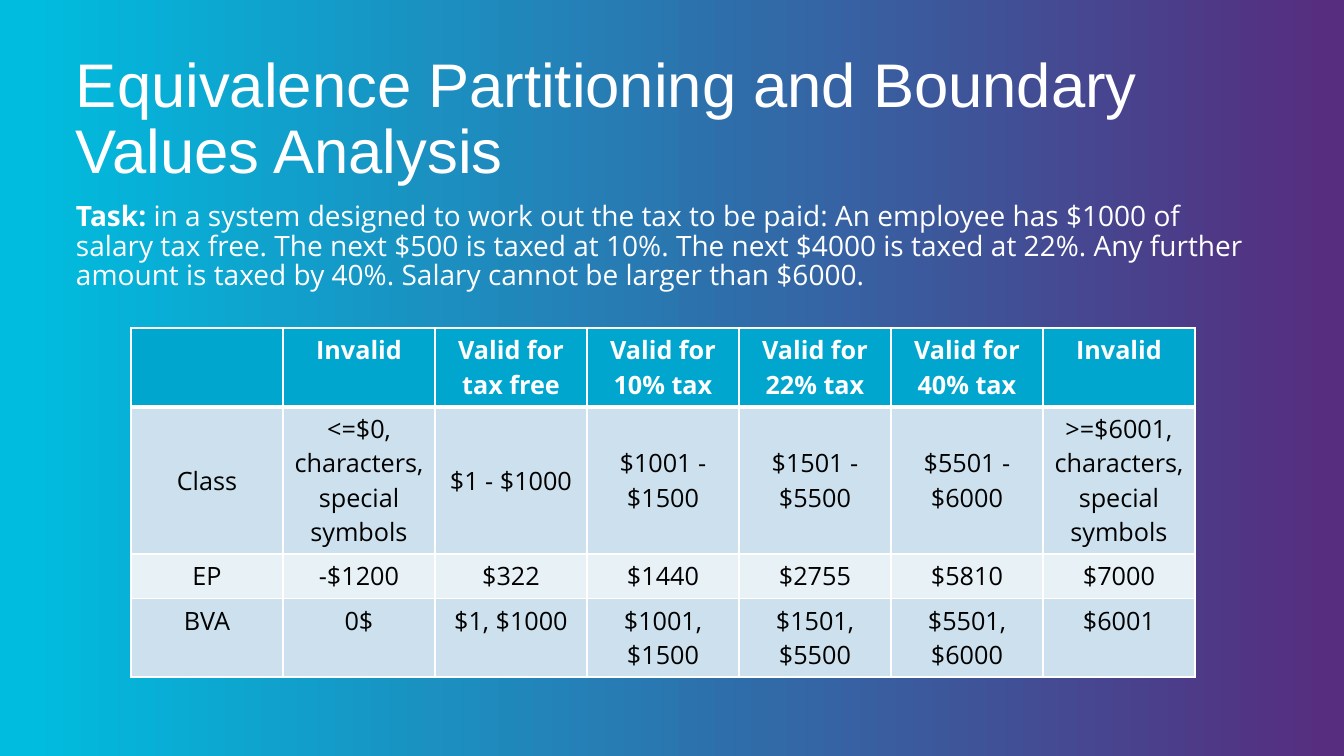
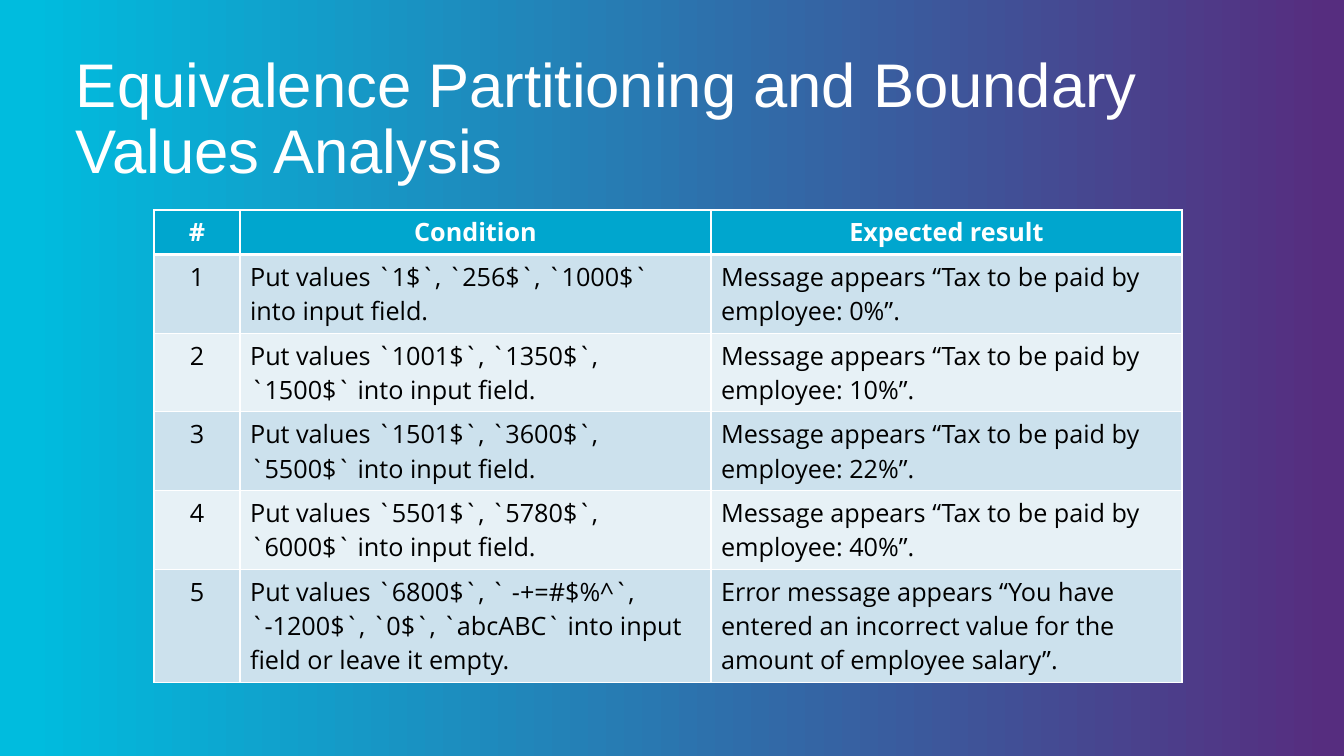
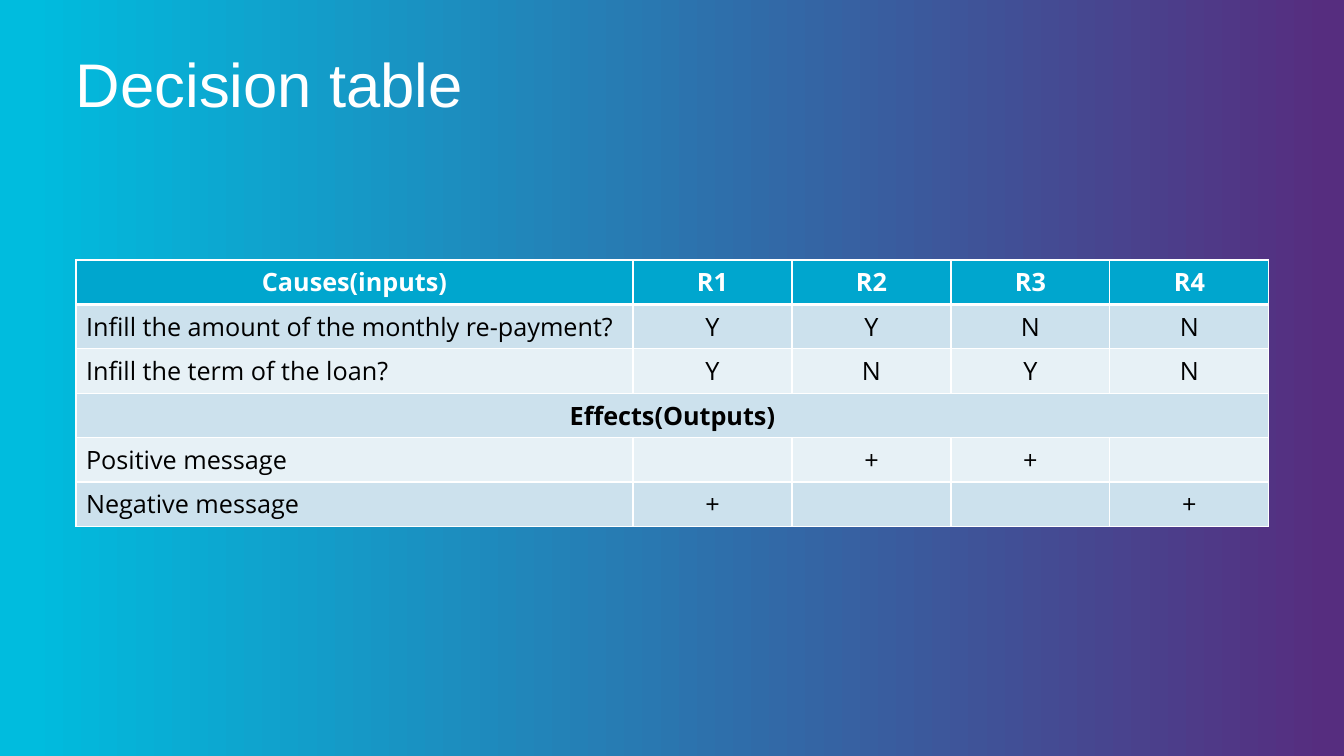
from dataclasses import dataclass

from pptx import Presentation
from pptx.dml.color import RGBColor
from pptx.enum.text import MSO_ANCHOR, MSO_AUTO_SIZE, PP_ALIGN
from pptx.oxml import parse_xml
from pptx.oxml.ns import nsdecls
from pptx.util import Pt

TOP, MIDDLE = MSO_ANCHOR.TOP, MSO_ANCHOR.MIDDLE
LEFT, CENTER = PP_ALIGN.LEFT, PP_ALIGN.CENTER
NO_FIT = MSO_AUTO_SIZE.NONE
ALIGN = {"l": LEFT, "c": CENTER}
SCALE = 914400 / 100.8


@dataclass(frozen=True)
class Theme:
    white: str = "FFFFFF"
    black: str = "000000"
    head: str = "00A6CE"
    bands: tuple = ("E7F1F6", "CCE1ED")
    fade: tuple = (("562D7F", 0.01), ("00BCDE", 0.98))
    title_font: str = "Arial"
    font: str = "Open Sans"
    title_size: int = 44
    body_size: int = 20
    cell_size: int = 18
    thin: int = 1
    thick: int = 3


def px(n):
    return round(n * SCALE)


class Deck:
    """Holds the style and the current slide."""

    def __init__(self, theme):
        self.theme = theme
        self.prs = Presentation()
        self.prs.slide_width, self.prs.slide_height = px(1344), px(756)
        fill = self.prs.slide_master.background.fill
        fill.gradient()
        fill.gradient_angle = 180
        for stop, (color, place) in zip(fill.gradient_stops, theme.fade):
            stop.color.rgb = RGBColor.from_string(color)
            stop.position = place

    def run(self, para, text, size, color, font=None, bold=False):
        run = para.add_run()
        run.text = text
        run.font.name = font or self.theme.font
        run.font.size = Pt(size)
        run.font.bold = bold
        run.font.color.rgb = RGBColor.from_string(color)

    def frame(self, shape, spacing):
        """Set up a text frame and return its first paragraph."""
        frame = shape.text_frame
        frame.word_wrap = True
        frame.auto_size = NO_FIT
        frame.vertical_anchor = TOP
        frame.margin_left, frame.margin_right = 0, px(10)
        frame.margin_top = frame.margin_bottom = px(5)
        para = frame.paragraphs[0]
        para.alignment = LEFT
        para.line_spacing = spacing
        return para

    def slide(self, title, height):
        self.page = self.prs.slides.add_slide(self.prs.slide_layouts[5])
        shape = self.page.shapes.title
        shape.left, shape.top = px(76), px(49)
        shape.width, shape.height = px(1192), px(height)
        para = self.frame(shape, 0.9)
        self.run(para, title, self.theme.title_size, self.theme.white,
                 self.theme.title_font)

    def body(self, x, y, w, h, parts):
        """Add a text box; parts are (text, bold) pairs."""
        box = self.page.shapes.add_textbox(px(x), px(y), px(w), px(h))
        para = self.frame(box, 0.88)
        for text, bold in parts:
            self.run(para, text, self.theme.body_size, self.theme.white,
                     bold=bold)

    def border(self, cell, row):
        thin, thick = self.theme.thin, self.theme.thick
        widths = {"L": thin, "R": thin,
                  "T": thick if row == 1 else thin,
                  "B": thick if row == 0 else thin}
        props = cell._tc.get_or_add_tcPr()
        for spot, (side, width) in enumerate(widths.items()):
            props.insert(spot, parse_xml(
                f'<a:ln{side} {nsdecls("a")} w="{Pt(width)}"><a:solidFill>'
                f'<a:srgbClr val="{self.theme.white}"/></a:solidFill>'
                f'</a:ln{side}>'))

    def cell(self, cell, text, row, align, bold):
        theme = self.theme
        color = theme.bands[row % 2] if row else theme.head
        cell.fill.solid()
        cell.fill.fore_color.rgb = RGBColor.from_string(color)
        self.border(cell, row)
        frame = cell.text_frame
        for i, line in enumerate(text.split("\n")):
            para = frame.add_paragraph() if i else frame.paragraphs[0]
            para.alignment = align
            if line:
                self.run(para, line, theme.cell_size,
                         theme.black if row else theme.white, bold=bold)

    def table(self, x, y, cols, aligns, rows, middle=()):
        """Add a table; a row with one entry spans all columns."""
        step = 41
        grid = self.page.shapes.add_table(
            len(rows), len(cols), px(x), px(y),
            px(sum(cols)), px(step * len(rows))).table
        grid.horz_banding = False
        for col, width in zip(grid.columns, cols):
            col.width = px(width)
        for r, row in enumerate(rows):
            grid.rows[r].height = px(step)
            span = len(row) == 1
            strong = span or r == 0
            if span:
                grid.cell(r, 0).merge(grid.cell(r, len(cols) - 1))
            for c, text in enumerate(row):
                cell = grid.cell(r, c)
                align = CENTER if strong else ALIGN[aligns[c]]
                self.cell(cell, text, r, align, strong)
                cell.vertical_anchor = MIDDLE if r in middle else TOP


def main():
    deck = Deck(Theme())
    topic = "Equivalence Partitioning and Boundary Values Analysis"

    deck.slide(topic, 141)
    deck.body(76, 198, 1192, 110, [
        ("Task: ", True),
        ("in a system designed to work out the tax to be paid: An employee "
         "has $1000 of salary tax free. The next $500 is taxed at 10%. The "
         "next $4000 is taxed at 22%. Any further amount is taxed by 40%. "
         "Salary cannot be larger than $6000.", False)])
    deck.table(131, 328, [152] * 7, "c" * 7, [
        ["", "Invalid", "Valid for tax free", "Valid for 10% tax",
         "Valid for 22% tax", "Valid for 40% tax", "Invalid"],
        ["Class", "<=$0, characters, special symbols", "$1 - $1000",
         "$1001 - $1500", "$1501 - $5500", "$5501 - $6000",
         ">=$6001, characters, special symbols"],
        ["EP", "-$1200", "$322", "$1440", "$2755", "$5810", "$7000"],
        ["BVA", "0$", "$1, $1000", "$1001, $1500", "$1501, $5500",
         "$5501, $6000", "$6001"],
    ], middle=(1,))

    deck.slide(topic, 141)
    cases = [("`1$`, `256$`, `1000$`", 0),
             ("`1001$`, `1350$`, `1500$`", 10),
             ("`1501$`, `3600$`, `5500$`", 22),
             ("`5501$`, `5780$`, `6000$`", 40)]
    deck.table(154, 210, [86, 471, 471], "cll", [
        ["#", "Condition", "Expected result"],
        *([str(n), f"Put values {values} into input field.",
           f"Message appears “Tax to be paid by employee: {rate}%”."]
          for n, (values, rate) in enumerate(cases, 1)),
        ["5", "Put values `6800$`, ` -+=#$%^`,\n"
              "`-1200$`, `0$`, `abcABC` into input field or leave it empty.",
         "Error message appears “You have entered an incorrect value for "
         "the amount of employee salary”."],
    ])

    deck.slide("Decision table", 71)
    deck.table(76, 260, [557] + [159] * 4, "lcccc", [
        ["Causes(inputs)", "R1", "R2", "R3", "R4"],
        ["Infill the amount of the monthly re-payment?", "Y", "Y", "N", "N"],
        ["Infill the term of the loan?", "Y", "N", "Y", "N"],
        ["Effects(Outputs)"],
        ["Positive message", "", "+", "+", ""],
        ["Negative message", "+", "", "", "+"],
    ])

    deck.prs.save("out.pptx")


if __name__ == "__main__":
    main()
